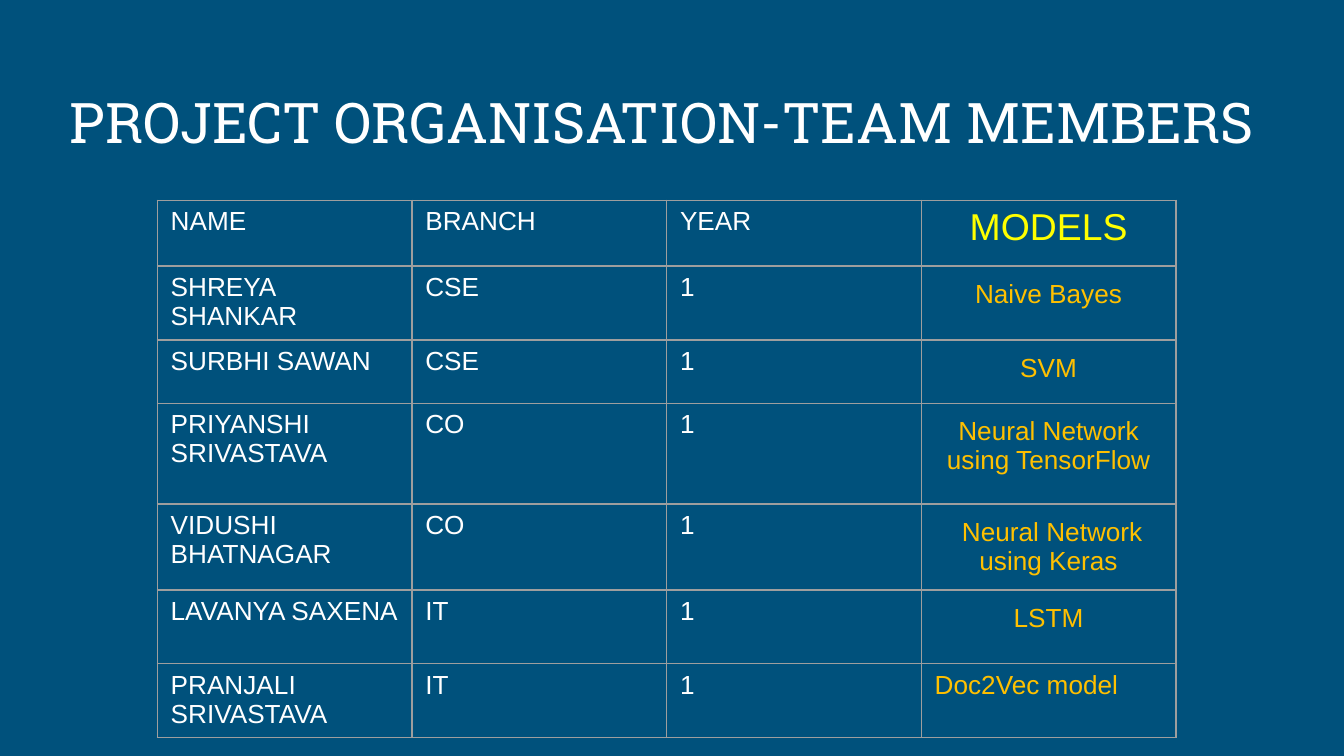
from pptx import Presentation, util as u
from pptx.dml.color import RGBColor
from pptx.enum import text
from pptx.oxml.ns import qn
from lxml import etree

COLORS = {"back": "00517C", "white": "FFFFFF", "header": "FFFF00",
          "model": "FFC000", "border": "9E9E9E"}
TITLE = "PROJECT ORGANISATION-TEAM MEMBERS"
HEADER = ("NAME", "BRANCH", "YEAR", "MODELS")
MEMBERS = [
    ("SHREYA SHANKAR", "CSE", "1", "Naive Bayes"),
    ("SURBHI SAWAN", "CSE", "1", "SVM"),
    ("PRIYANSHI SRIVASTAVA", "CO", "1", "Neural Network using TensorFlow"),
    ("VIDUSHI BHATNAGAR", "CO", "1", " Neural Network using Keras"),
    ("LAVANYA SAXENA", "IT", "1", "LSTM"),
    ("PRANJALI SRIVASTAVA", "IT", "1", "Doc2Vec model"),
]
ROW_HEIGHTS = (0.49, 0.55, 0.47, 0.75, 0.64, 0.55, 0.55)
TABLE_WIDTH = u.Inches(7.58)
MODEL_COL = len(HEADER) - 1


def rgb(name):
    return RGBColor.from_string(COLORS[name])


def format_text(p, font, size, color, align):
    p.alignment = align
    for r in p.runs:
        r.font.name = font
        r.font.size = u.Pt(size)
        r.font.color.rgb = rgb(color)


def set_margins(box, margin):
    box.margin_left = box.margin_right = u.Inches(0.1)
    box.margin_top = box.margin_bottom = u.Inches(margin)


def add_borders(cell):
    """Draw all four cell edges; they must come before the fill in tcPr."""
    tcPr = cell._tc.get_or_add_tcPr()
    for i, side in enumerate(("lnL", "lnR", "lnT", "lnB")):
        ln = etree.Element(qn("a:" + side), w=str(u.Pt(0.75)))
        fill = etree.SubElement(ln, qn("a:solidFill"))
        etree.SubElement(fill, qn("a:srgbClr"), val=COLORS["border"])
        tcPr.insert(i, ln)


def add_title(s):
    title = s.shapes.title
    title.left, title.top = u.Inches(0.42), u.Inches(0.5)
    title.width, title.height = u.Inches(9.15), u.Inches(0.75)
    tf = title.text_frame
    tf.text = TITLE
    tf.auto_size = text.MSO_AUTO_SIZE.NONE
    tf.word_wrap = True
    tf.vertical_anchor = text.MSO_ANCHOR.BOTTOM
    set_margins(tf, 0.1)
    format_text(tf.paragraphs[0], "Roboto Slab", 30, "white", text.PP_ALIGN.LEFT)


def add_team_table(s):
    rows = [HEADER] + MEMBERS
    table = s.shapes.add_table(
        len(rows), len(HEADER), u.Inches(1.17), u.Inches(1.49),
        TABLE_WIDTH, u.Inches(sum(ROW_HEIGHTS))).table
    table.first_row = table.horz_banding = False
    for col in table.columns:
        col.width = TABLE_WIDTH // len(HEADER)
    last = len(rows) - 1
    for i, (values, height) in enumerate(zip(rows, ROW_HEIGHTS)):
        table.rows[i].height = u.Inches(height)
        for j, value in enumerate(values):
            cell = table.cell(i, j)
            cell.text = value
            cell.fill.background()
            add_borders(cell)
            is_model = j == MODEL_COL
            centered = is_model and i < last
            set_margins(cell, 0.1 if centered and i > 0 else 0.05)
            size, color = 14, "model" if is_model else "white"
            if is_model and i == 0:
                size, color = 20, "header"
            align = text.PP_ALIGN.CENTER if centered else text.PP_ALIGN.LEFT
            format_text(cell.text_frame.paragraphs[0], "Arial", size, color, align)


def main():
    prs = Presentation()
    prs.slide_width = u.Inches(10)
    prs.slide_height = prs.slide_width * 9 // 16
    s = prs.slides.add_slide(prs.slide_layouts[5])
    s.background.fill.solid()
    s.background.fill.fore_color.rgb = rgb("back")
    add_title(s)
    add_team_table(s)
    prs.save("out.pptx")


if __name__ == "__main__":
    main()
